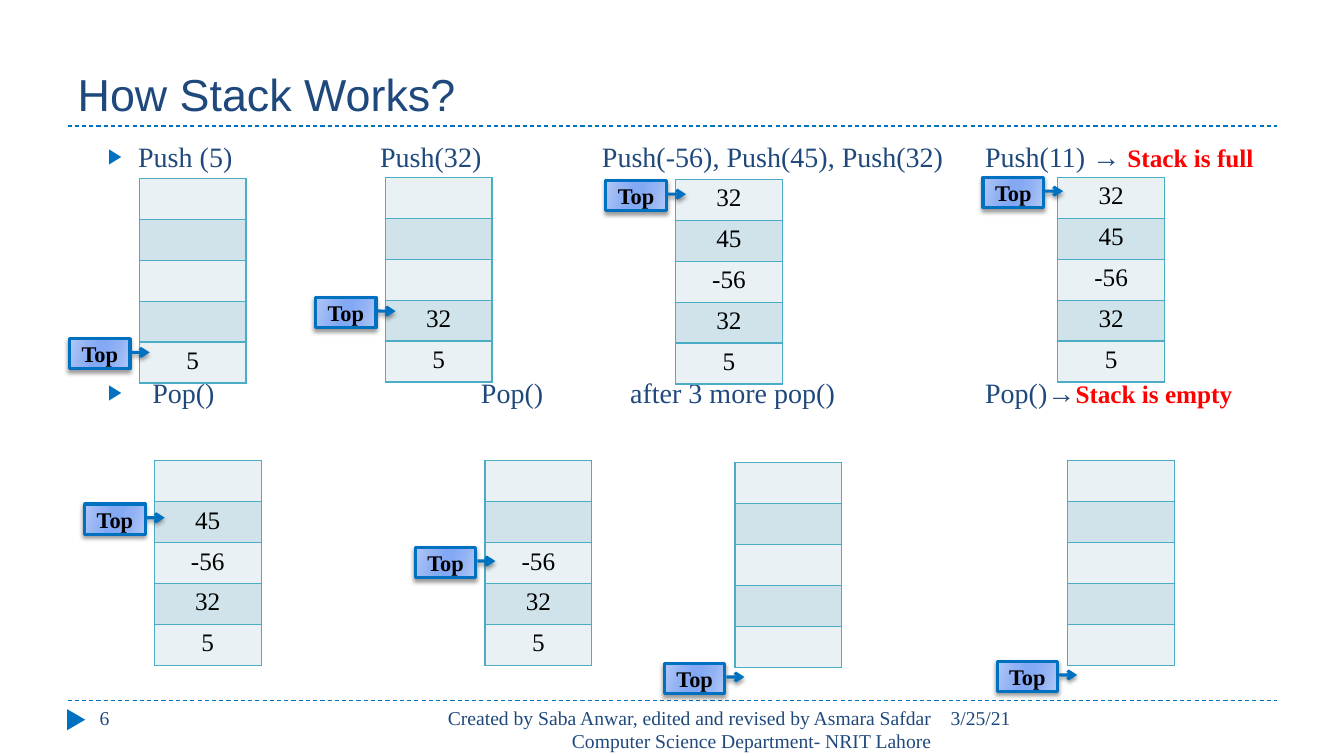
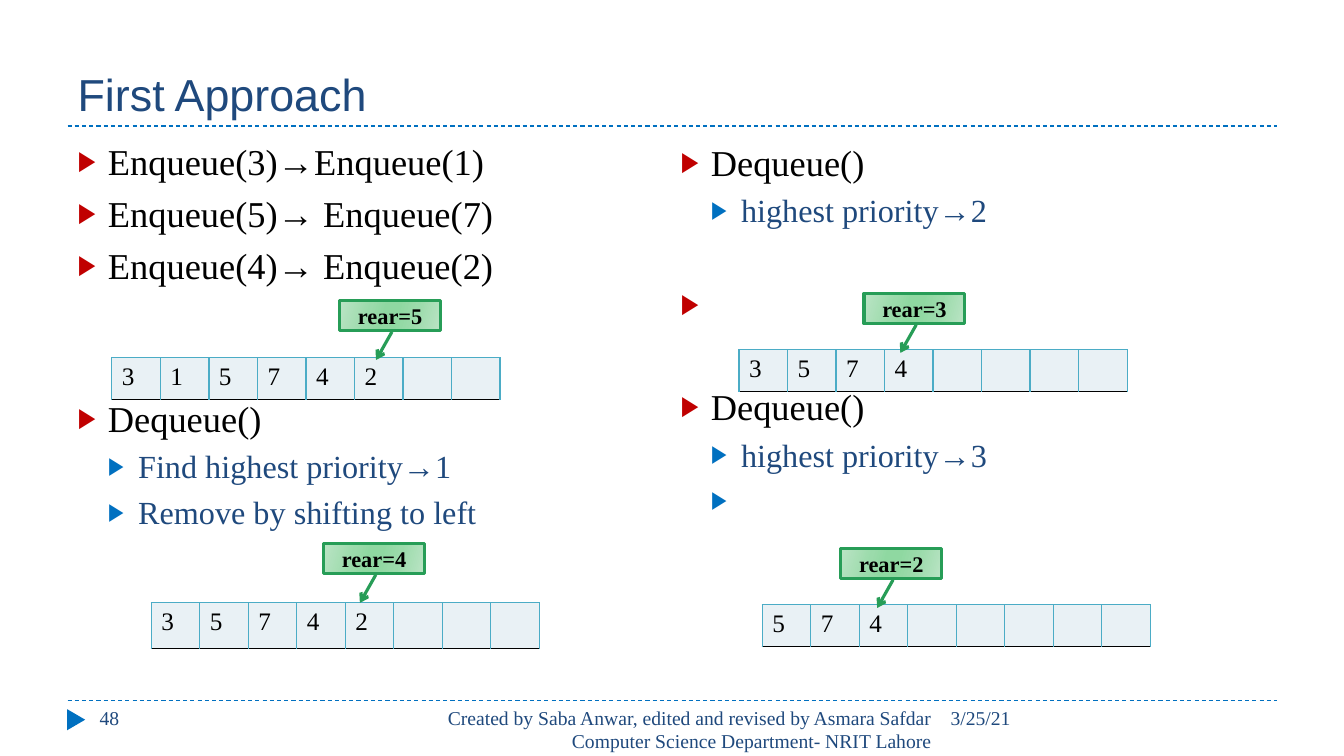
import pptx
import pptx.dml.color
import pptx.enum.dml
import pptx.enum.shapes
import pptx.enum.text
import pptx.oxml
import pptx.oxml.ns
import pptx.util
import lxml.etree

Inches = pptx.util.Inches
Pt = pptx.util.Pt
RGBColor = pptx.dml.color.RGBColor
SHAPE = pptx.enum.shapes.MSO_SHAPE
ALIGN = pptx.enum.text.PP_ALIGN
ANCHOR = pptx.enum.text.MSO_ANCHOR
qn = pptx.oxml.ns.qn

NAVY = RGBColor(0x1F, 0x49, 0x7D)
BLUE = RGBColor(0x00, 0x70, 0xC0)
GREEN = RGBColor(0x27, 0x9D, 0x57)
CRIMSON = RGBColor(0xC0, 0x00, 0x00)
RED = RGBColor(0xFF, 0x00, 0x00)
BLACK = RGBColor(0x00, 0x00, 0x00)
TEAL = RGBColor(0x4B, 0xAC, 0xC6)
PALE = RGBColor(0xE9, 0xF1, 0xF5)
PALE_DARK = RGBColor(0xD0, 0xE3, 0xEA)
BLUE_SHADES = [RGBColor(0xB4, 0xC9, 0xF6), RGBColor(0x90, 0xB1, 0xF4), RGBColor(0x83, 0xA9, 0xF4)]
GREEN_SHADES = [RGBColor(0xBB, 0xE4, 0xC5), RGBColor(0x9B, 0xDB, 0xAB), RGBColor(0x8F, 0xD8, 0xA1)]
GRADIENT_STOPS = [(0, 0), (30, 1), (45, 2), (55, 2), (73, 1), (100, 0)]  # percent, shade

SERIF = "Times New Roman"
TITLE_FONT = {"name": "Arial", "size": Pt(32)}
FOOTER_FONT = {"name": SERIF, "size": Pt(14)}
CELL_FONT = {"name": SERIF, "size": Pt(18)}
CALLOUT_FONT = {"name": SERIF, "size": Pt(16), "bold": True}
STEP_FONT = {"name": SERIF, "size": Pt(20)}
WARNING_FONT = {"name": SERIF, "size": Pt(18), "bold": True}
ITEM_FONT = {"name": SERIF, "size": Pt(26)}
DETAIL_FONT = {"name": SERIF, "size": Pt(23)}


def add_node(parent, tag, **attributes):
    """Append a DrawingML element to parent and return it."""
    node = lxml.etree.SubElement(parent, qn(tag))
    for name, value in attributes.items():
        node.set(name, str(value))
    return node


def add_span(para, text, font, colour):
    span = para.add_run()
    span.text = text
    for name, value in font.items():
        setattr(span.font, name, value)
    span.font.color.rgb = colour


deck = pptx.Presentation()
deck.slide_width = Inches(13.33)
deck.slide_height = Inches(7.5)

# Shared frame: title, rules, marker and footer
pages = []
for layout, heading, number in [(1, "How Stack Works?", "6"), (3, "First Approach", "48")]:
    page = deck.slides.add_slide(deck.slide_layouts[layout])
    pages.append(page)

    title = page.shapes.title
    title.left, title.top, title.width, title.height = map(Inches, (0.67, 0.17, 12, 1.08))
    title.text_frame.vertical_anchor = ANCHOR.BOTTOM
    title.text_frame.auto_size = pptx.enum.text.MSO_AUTO_SIZE.NONE
    title.text_frame.paragraphs[0].alignment = ALIGN.LEFT
    add_span(title.text_frame.paragraphs[0], heading, TITLE_FONT, NAVY)

    for y in (1.25, 6.95):
        rule = page.shapes.add_connector(
            pptx.enum.shapes.MSO_CONNECTOR.STRAIGHT,
            Inches(0.67), Inches(y), Inches(12.67), Inches(y))
        rule.line.color.rgb = BLUE
        rule.line.width = Pt(0.75)
        rule.line.dash_style = pptx.enum.dml.MSO_LINE.DASH
        add_node(rule.element.spPr, "a:effectLst")

    marker = page.shapes.add_shape(
        SHAPE.ISOSCELES_TRIANGLE, Inches(0.65), Inches(7.05), Inches(0.21), Inches(0.18))
    marker.rotation = 90
    marker.shadow.inherit = False
    marker.fill.solid()
    marker.fill.fore_color.rgb = BLUE
    marker.line.fill.background()

    credit = ("Created by Saba Anwar, edited and revised by Asmara Safdar "
              "Computer Science Department- NRIT Lahore")
    for x, width, align, text in [
        (9.33, 3.34, ALIGN.LEFT, "3/25/21"),
        (4.23, 5.11, ALIGN.RIGHT, credit),
        (0.89, 2.89, ALIGN.LEFT, number),
    ]:
        box = page.shapes.add_textbox(Inches(x), Inches(6.95), Inches(width), Inches(0.4))
        box.text_frame.word_wrap = True
        box.text_frame.paragraphs[0].alignment = align
        add_span(box.text_frame.paragraphs[0], text, FOOTER_FONT, NAVY)

stack_page, queue_page = pages

# Lists: each entry is level, text indent, space before, tab stops, spans
push_spans = [
    ("Push (5)\tPush(32)\tPush(-56), Push(45), Push(32)\tPush(11) → ", STEP_FONT, NAVY),
    ("Stack is full", WARNING_FONT, RED),
]
pop_spans = [
    ("Pop()\tPop()\tafter 3 more pop()\tPop()→", STEP_FONT, NAVY),
    ("Stack is empty", WARNING_FONT, RED),
]
stack_steps = [
    (1, 0.6, 5, [3, 5.2, 9], push_spans),
    (1, 0.74, 145, [4, 5.48, 9], pop_spans),
]
queue_columns = []
for column in [
    [(0, 6, "Enqueue(3)→Enqueue(1)"),
     (0, 6, "Enqueue(5)→ Enqueue(7)"),
     (0, 6, "Enqueue(4)→ Enqueue(2)"),
     (0, 78, "Dequeue()"),
     (1, 5, "Find highest priority→1"),
     (1, 5, "Remove by shifting to left")],
    [(0, 6, "Dequeue()"),
     (1, 5, "highest priority→2"),
     (0, 37.5, " "),
     (0, 42, "Dequeue()"),
     (1, 5, "highest priority→3"),
     (1, 5, " ")],
]:
    queue_columns.append([
        (level, 0.3 + 0.3 * level, before, [],
         [(text, DETAIL_FONT, NAVY) if level else (text, ITEM_FONT, BLACK)])
        for level, before, text in column])

for page, holder, x, y, width, entries in [
    (stack_page, 1, 0.67, 1.33, 12, stack_steps),
    (queue_page, 1, 0.67, 1.33, 5.9, queue_columns[0]),
    (queue_page, 2, 6.65, 1.34, 6, queue_columns[1]),
]:
    body = page.placeholders[holder]
    body.left, body.top, body.width, body.height = map(Inches, (x, y, width, 5.4))
    frame = body.text_frame
    frame.auto_size = pptx.enum.text.MSO_AUTO_SIZE.NONE
    frame.vertical_anchor = ANCHOR.TOP
    for index, (level, indent, before, tabs, spans) in enumerate(entries):
        para = frame.add_paragraph() if index else frame.paragraphs[0]
        para.level = level
        para.space_before = Pt(before)
        props = para._p.get_or_add_pPr()
        bullet_left = 0.3 * level
        props.set("marL", str(Inches(indent)))
        props.set("indent", str(Inches(bullet_left - indent)))
        bullet_colour = add_node(props, "a:buClr")
        add_node(bullet_colour, "a:srgbClr", val=BLUE if level else CRIMSON)
        add_node(props, "a:buSzPct", val=76000)
        add_node(props, "a:buChar", char="▶")
        if tabs:
            stops = add_node(props, "a:tabLst")
            for tab in tabs:
                add_node(stops, "a:tab", pos=Inches(tab), algn="l")
        for text, font, colour in spans:
            add_span(para, text, font, colour)

# Stacks are columns of five cells, queues are rows of eight
STACK = {
    "page": stack_page, "rows": 5, "columns": 1, "size": (1.06, 2.03),
    "align": ALIGN.CENTER, "bottom": TEAL, "callout": (0.6, 0.3),
    "pointer": (0.455, 1.024, 0.457, 1.324), "shades": BLUE_SHADES, "line": BLUE, "shadow": True,
}
QUEUE = {
    "page": queue_page, "rows": 1, "columns": 8, "size": (3.85, 0.41),
    "align": ALIGN.LEFT, "bottom": BLACK, "callout": (1, 0.3),
    "pointer": (1.043, 0.518, 1.973, 0.36), "shades": GREEN_SHADES, "line": GREEN, "shadow": False,
}
TALL_QUEUE = {**QUEUE, "size": (3.85, 0.45)}
FULL = ["32", "45", "-56", "32", "5"]

for kind, table_at, values, callout_at, label in [
    (STACK, (1.38, 1.77), [""] * 4 + FULL[4:], (0.69, 3.36), "Top"),
    (STACK, (3.82, 1.76), [""] * 3 + FULL[3:], (3.13, 2.95), "Top"),
    (STACK, (6.7, 1.78), FULL, (6.01, 1.79), "Top"),
    (STACK, (10.49, 1.76), FULL, (9.75, 1.76), "Top"),
    (STACK, (1.53, 4.57), [""] + FULL[1:], (0.84, 5), "Top"),
    (STACK, (4.81, 4.57), [""] * 2 + FULL[2:], (4.12, 5.43), "Top"),
    (STACK, (7.29, 4.59), [""] * 5, (6.59, 6.58), "Top"),
    (STACK, (10.59, 4.57), [""] * 5, (9.89, 6.56), "Top"),
    (QUEUE, (1.11, 3.55), list("315742"), (3.37, 2.98), "rear=5"),
    (TALL_QUEUE, (1.5, 5.98), list("35742"), (3.21, 5.39), "rear=4"),
    (QUEUE, (7.33, 3.47), list("3574"), (8.57, 2.91), "rear=3"),
    (QUEUE, (7.56, 6), list("574"), (8.34, 5.44), "rear=2"),
]:
    shapes = kind["page"].shapes
    table = shapes.add_table(
        kind["rows"], kind["columns"], *map(Inches, table_at + kind["size"])).table
    table.first_row = False
    table.horz_banding = False
    values = values + [""] * (kind["rows"] * kind["columns"] - len(values))
    for index, (cell, value) in enumerate(zip(table.iter_cells(), values)):
        props = cell._tc.get_or_add_tcPr()
        for side in ("L", "R", "T", "B"):
            border = add_node(props, "a:ln" + side, w=Pt(1))
            border_fill = add_node(border, "a:solidFill")
            add_node(border_fill, "a:srgbClr", val=kind["bottom"] if side == "B" else TEAL)
        cell.fill.solid()
        banded = kind["columns"] == 1 and index % 2
        cell.fill.fore_color.rgb = PALE_DARK if banded else PALE
        if value:
            para = cell.text_frame.paragraphs[0]
            para.alignment = kind["align"]
            add_span(para, value, CELL_FONT, BLACK)

    callout = shapes.add_shape(
        SHAPE.LINE_CALLOUT_1, *map(Inches, callout_at + kind["callout"]))
    for index, value in enumerate(kind["pointer"]):
        callout.adjustments[index] = value
    callout.fill.gradient()
    callout.fill.gradient_angle = 344
    stops = callout.element.spPr.find(".//" + qn("a:gsLst"))
    for stop in list(stops):
        stops.remove(stop)
    for percent, shade in GRADIENT_STOPS:
        stop = add_node(stops, "a:gs", pos=percent * 1000)
        add_node(stop, "a:srgbClr", val=kind["shades"][shade])
    callout.line.color.rgb = kind["line"]
    callout.line.width = Pt(2.25)
    add_node(callout.element.spPr.find(qn("a:ln")), "a:tailEnd", type="arrow")
    callout.shadow.inherit = False
    if kind["shadow"]:
        effects = callout.element.spPr.find(qn("a:effectLst"))
        shadow = add_node(effects, "a:outerShdw", blurRad=Pt(3), dist=Pt(2), dir=5400000, rotWithShape=0)
        shadow_colour = add_node(shadow, "a:srgbClr", val=BLACK)
        add_node(shadow_colour, "a:alpha", val=40000)
    frame = callout.text_frame
    for name, value in {"margin_left": 0, "margin_right": 0, "margin_top": 0, "margin_bottom": 0,
                        "vertical_anchor": ANCHOR.MIDDLE}.items():
        setattr(frame, name, value)
    frame.paragraphs[0].alignment = ALIGN.CENTER
    add_span(frame.paragraphs[0], label, CALLOUT_FONT, BLACK)

deck.save("out.pptx")
